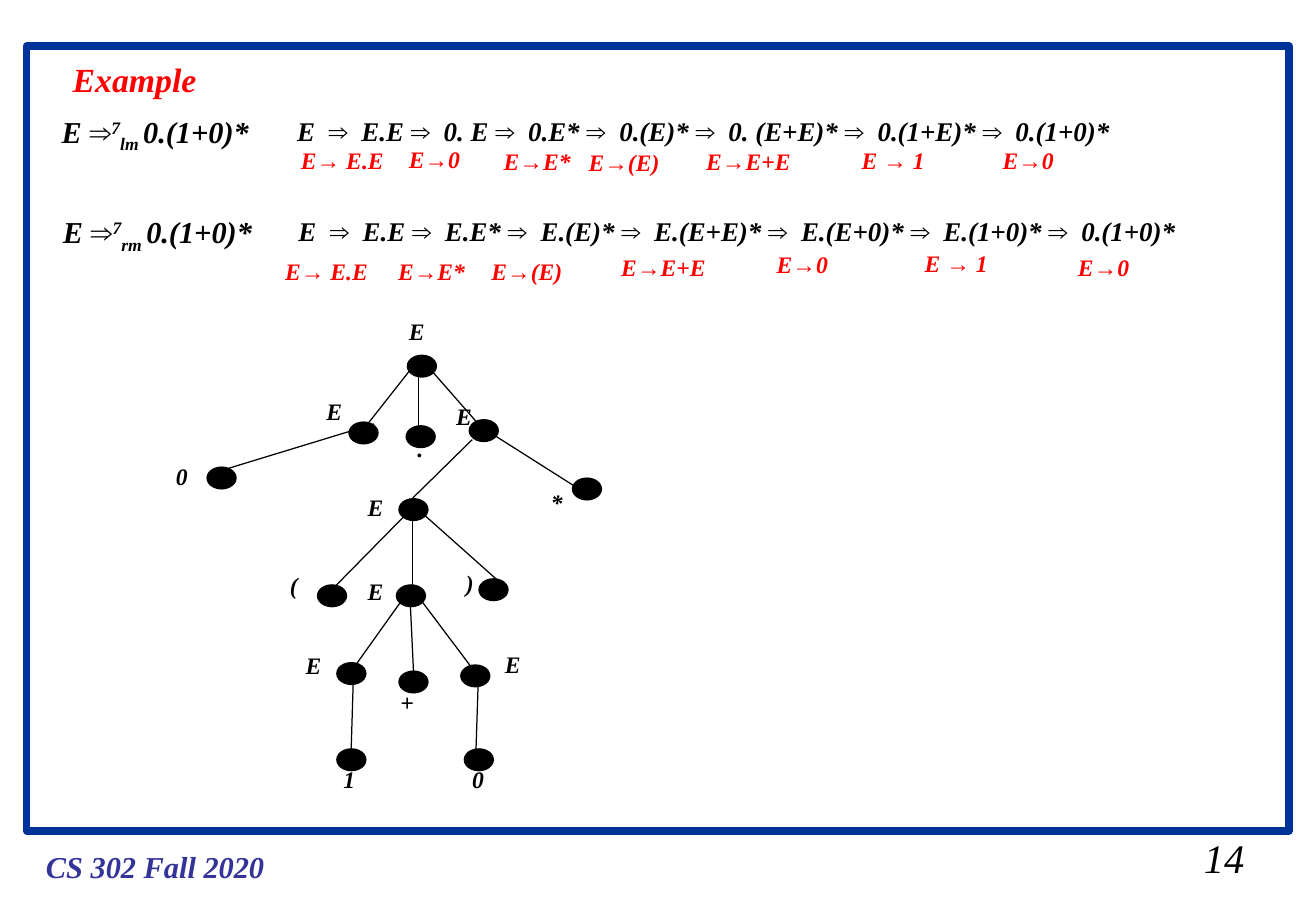
from itertools import groupby

from lxml.etree import SubElement
from pptx import Presentation
from pptx.dml.color import RGBColor
from pptx.enum.shapes import MSO_CONNECTOR, MSO_SHAPE
from pptx.oxml.ns import qn
from pptx.util import Pt

BLACK = RGBColor(0x00, 0x00, 0x00)
RED = RGBColor(0xFF, 0x00, 0x00)
BLUE = RGBColor(0x00, 0x33, 0x99)
INDIGO = RGBColor(0x33, 0x33, 0x99)
SERIF, SANS = "Times New Roman", "Arial"
ARROWS = "⇒→"

# Derivations: name, head left, top, steps left, top, width, steps
CHAINS = [
    ("lm", 29.5, 63.4, 169.2, 64.1, 533,
     ["E ", "E.E", "0. E", "0.E*", "0.(E)*", "0. (E+E)*", "0.(1+E)*", "0.(1+0)*"]),
    ("rm", 30.2, 123.1, 169.9, 123.8, 569,
     ["E ", "E.E", "E.E*", "E.(E)*", "E.(E+E)*", "E.(E+0)*", "E.(1+0)*", "0.(1+0)*"]),
]

# Rules under the steps: text, left, top
RULES = [
    ("E→ E.E", 171.4, 82.8), ("E→0", 235.4, 82.1), ("E→E*", 291.6, 83.5),
    ("E→(E)", 342, 84.2), ("E→E+E", 411.8, 83.5), ("E → 1", 504, 82.8),
    ("E→0", 587.5, 82.8),
    ("E→ E.E", 162, 149), ("E→E*", 229, 149), ("E→(E)", 284.4, 149),
    ("E→E+E", 361.4, 146.2), ("E→0", 453.6, 144.7), ("E → 1", 541.4, 144),
    ("E→0", 632.2, 146.2),
]

# Tree nodes: label, dot left, top, label left, top
NODES = [
    ("E", 241.2, 210.2, 235.4, 184.3),
    ("E", 206.6, 249.8, 186.5, 231.8),
    (".", 240.5, 252, 240.5, 253.4),
    ("E", 277.9, 248.4, 263.5, 234.7),
    ("0", 122.4, 276.5, 97.2, 270),
    ("E", 236.2, 295.2, 211, 288.7),
    ("*", 339.1, 283, 319.7, 285.8),
    ("(", 187.9, 346.3, 164.9, 334.8),
    ("E", 234.7, 346.3, 211, 338.4),
    (")", 283.7, 342.7, 269.3, 333.4),
    ("E", 199.4, 392.4, 174.2, 382.3),
    ("+", 236.2, 397.4, 230.4, 403.9),
    ("E", 272.9, 393.8, 292.3, 381.6),
    ("1", 199.4, 443.5, 196.6, 450),
    ("0", 275, 443.5, 272.9, 450),
]

# Tree edges: from x, y, to x, y
EDGES = [
    (247, 214.6, 212.4, 258.5), (248.4, 218.2, 248.4, 254.2),
    (252.7, 216, 288.7, 257), (221.8, 251.3, 134.6, 277.9),
    (280.1, 260.6, 244.8, 295.2), (283.7, 252, 342.7, 289.4),
    (241.9, 303.8, 195.8, 350.6), (244.8, 301, 244.8, 352.8),
    (248.4, 302.4, 294.5, 343.4), (240.5, 352.8, 208.1, 398.2),
    (243.4, 358.6, 245.5, 403.2), (249.1, 355, 283.7, 401),
    (209.5, 404.6, 208.1, 450), (283.7, 401.8, 282.2, 447.8),
]


def add_text(slide, parts, left, top, width, size, color=BLACK, bold=True):
    """Write (text, baseline) parts, with the arrows in their own font."""
    box = slide.shapes.add_textbox(Pt(left), Pt(top), Pt(width), Pt(size * 1.2 + 7.2))
    frame = box.text_frame
    frame.word_wrap = True
    for text, base in parts:
        for arrow, chars in groupby(text, lambda char: char in ARROWS):
            run = frame.paragraphs[0].add_run()
            run.text = "".join(chars)
            font = run.font
            font.name = SANS if arrow else SERIF
            font.size, font.bold, font.italic = Pt(size), bold, True
            font.color.rgb = color
            if base:
                run._r.get_or_add_rPr().set("baseline", str(base * 1000))


def add_line(slide, x1, y1, x2, y2):
    line = slide.shapes.add_connector(
        MSO_CONNECTOR.STRAIGHT, Pt(x1), Pt(y1), Pt(x2), Pt(y2))
    line.line.color.rgb = BLACK
    line.line.width = Pt(0.75)
    SubElement(line._element.spPr, qn("a:effectLst"))


def add_dot(slide, left, top):
    dot = slide.shapes.add_shape(MSO_SHAPE.OVAL, Pt(left), Pt(top), Pt(18), Pt(13.7))
    dot.shadow.inherit = False
    dot.fill.solid()
    dot.fill.fore_color.rgb = BLACK
    dot.line.fill.background()


def add_frame(slide):
    frame = slide.shapes.add_shape(
        MSO_SHAPE.RECTANGLE, Pt(15.8), Pt(27.4), Pt(748.8), Pt(465.1))
    frame.shadow.inherit = False
    frame.fill.background()
    frame.line.color.rgb = BLUE
    frame.line.width = Pt(4.5)


def add_chain(slide, name, x, y, left, top, width, steps):
    head = [("E ⇒", 0), ("7", 30), (name + " ", -25), ("0.(1+0)*", 0)]
    add_text(slide, head, x, y, 142, 18)
    add_text(slide, [(" ⇒  ".join(steps), 0)], left, top, width, 16)


def main():
    deck = Presentation()
    deck.slide_width, deck.slide_height = Pt(780.48), Pt(540)
    slide = deck.slides.add_slide(deck.slide_layouts[6])

    # Frame, footer and title
    add_frame(slide)
    add_text(slide, [("CS 302 Fall 2020", 0)], 20.2, 499, 160, 18, INDIGO)
    add_text(slide, [("14", 0)], 707, 490.3, 45, 24, bold=False)
    add_text(slide, [("Example", 0)], 36, 31, 95, 20, RED)

    # Leftmost and rightmost derivations
    for chain in CHAINS:
        add_chain(slide, *chain)
    for text, left, top in RULES:
        add_text(slide, [(text, 0)], left, top, 75, 14, RED)

    # Parse tree
    for edge in EDGES:
        add_line(slide, *edge)
    for label, x, y, left, top in NODES:
        add_dot(slide, x, y)
        add_text(slide, [(label, 0)], left, top, 30, 14)

    deck.save("out.pptx")


if __name__ == "__main__":
    main()
